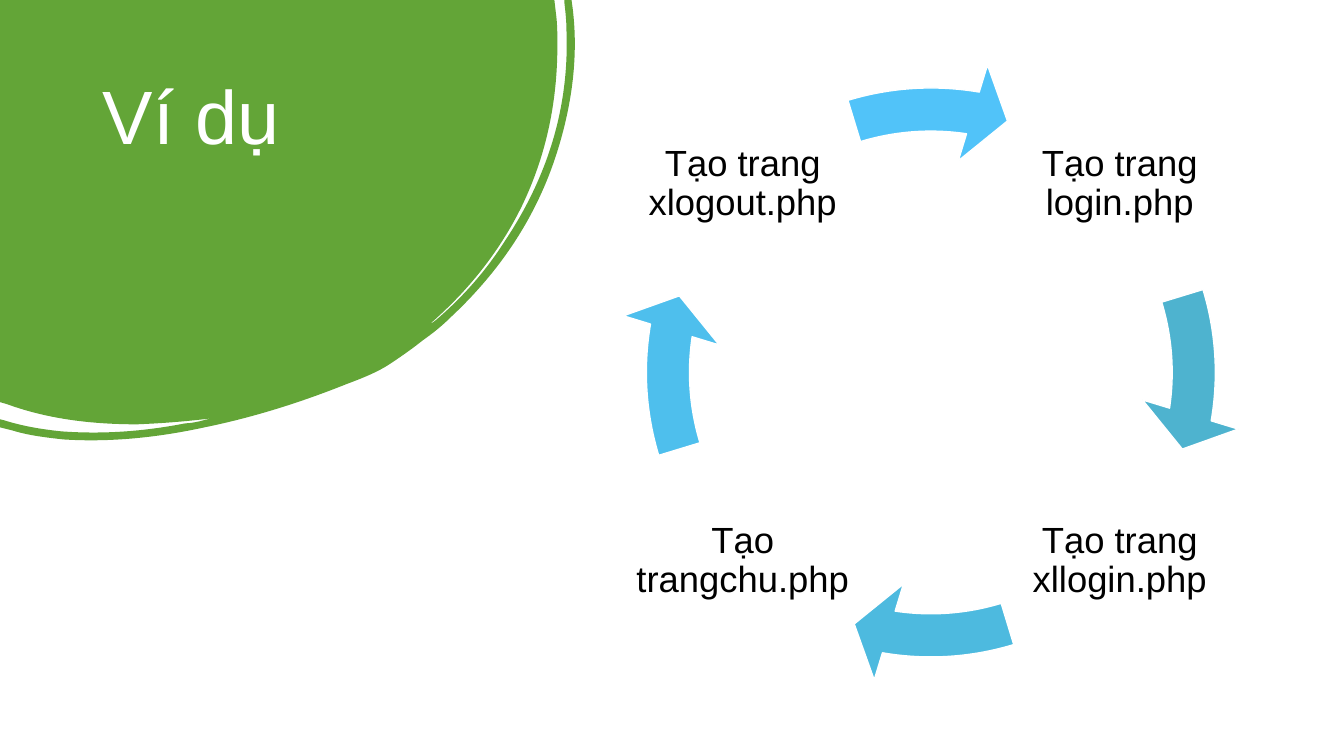
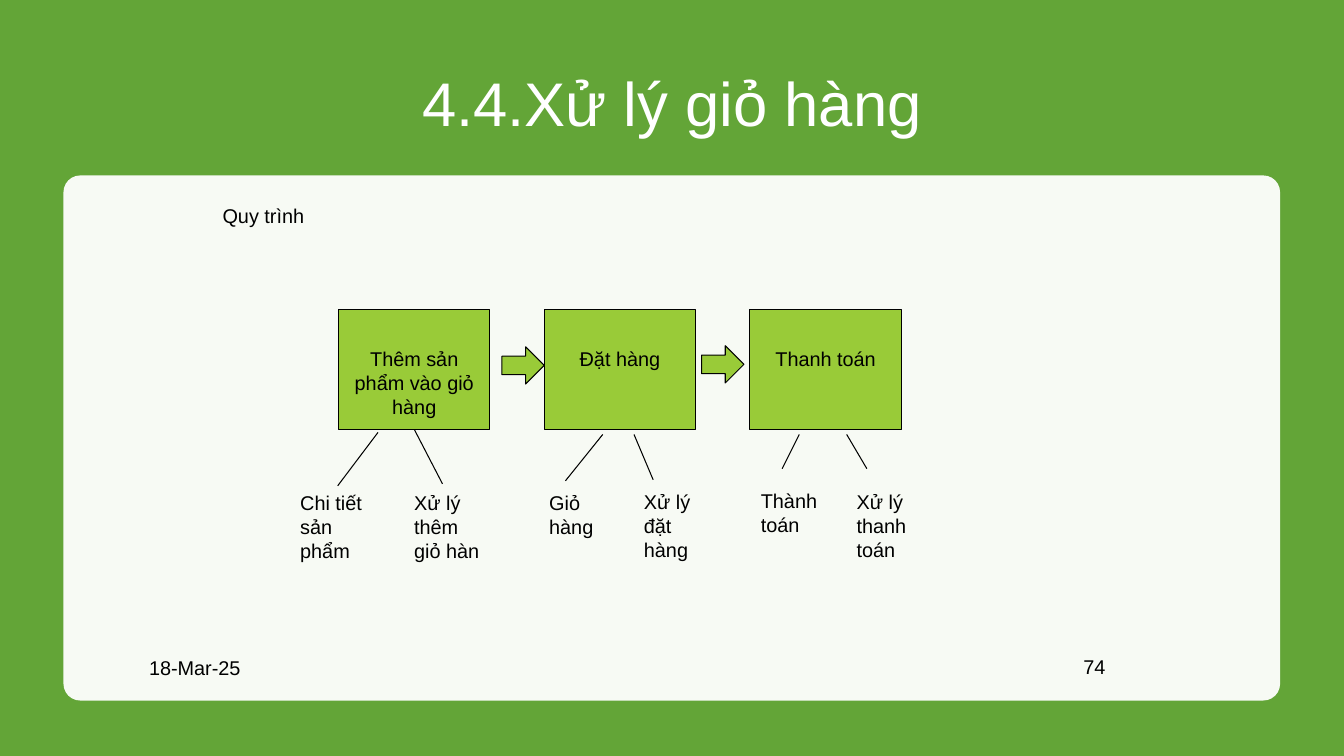
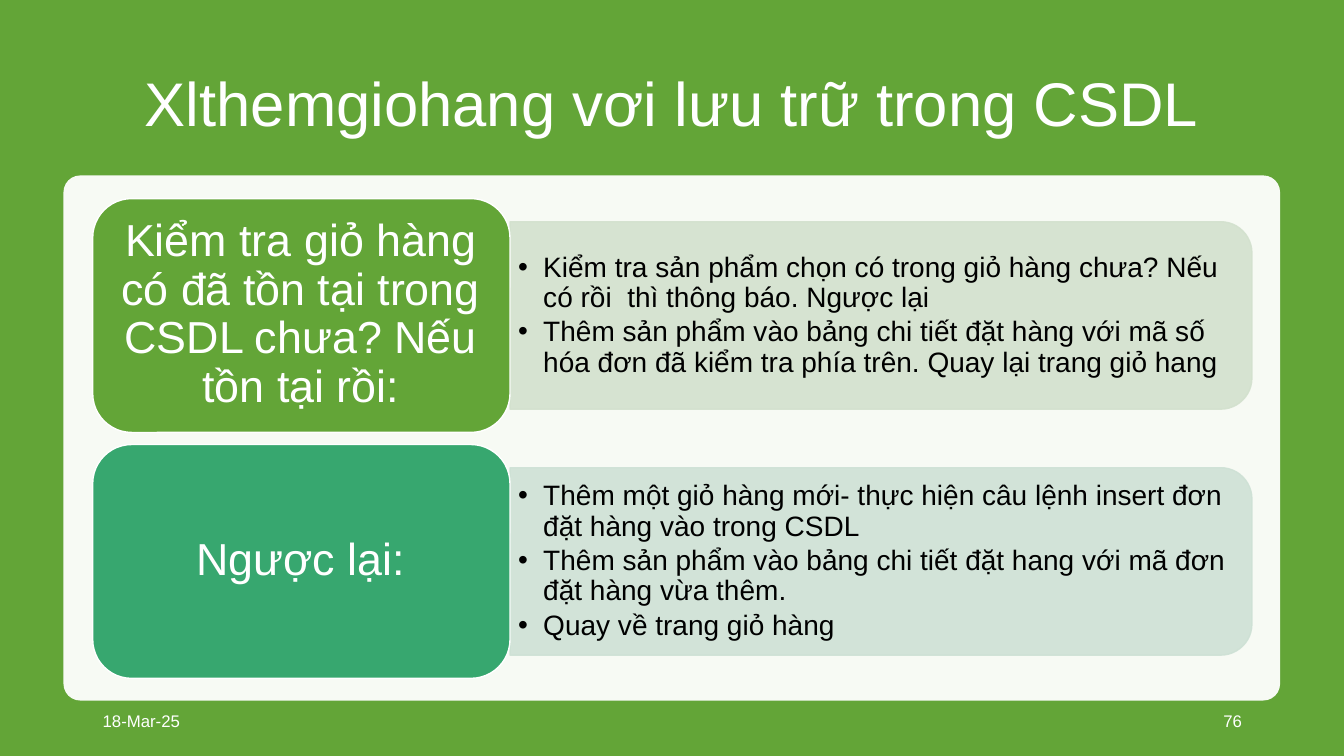
from lxml import etree
from pptx import Presentation
from pptx.dml.color import RGBColor
from pptx.enum.shapes import MSO_CONNECTOR, MSO_SHAPE
from pptx.enum.text import MSO_ANCHOR, MSO_AUTO_SIZE, PP_ALIGN
from pptx.oxml.ns import qn
from pptx.util import Inches, Pt

# Shared style
FONT = "Arial"
GREEN = RGBColor(0x63, 0xA5, 0x37)
LIME = RGBColor(0x99, 0xCB, 0x38)
TEAL = RGBColor(0x37, 0xA7, 0x6F)
SAGE = RGBColor(0xD3, 0xE1, 0xCE)
MINT = RGBColor(0xCE, 0xE1, 0xD5)
WHITE = RGBColor(0xFF, 0xFF, 0xFF)
BLACK = RGBColor(0x00, 0x00, 0x00)
BLUES = [RGBColor(0x4E, 0xB3, 0xCF), RGBColor(0x4D, 0xBA, 0xDF),
         RGBColor(0x4E, 0xBF, 0xED), RGBColor(0x51, 0xC3, 0xF9)]

LEFT, CENTER, RIGHT = PP_ALIGN.LEFT, PP_ALIGN.CENTER, PP_ALIGN.RIGHT
TOP, MIDDLE = MSO_ANCHOR.TOP, MSO_ANCHOR.MIDDLE
FIXED, GROW = MSO_AUTO_SIZE.NONE, MSO_AUTO_SIZE.SHAPE_TO_FIT_TEXT
RECT, ROUND = MSO_SHAPE.RECTANGLE, MSO_SHAPE.ROUNDED_RECTANGLE
TAB = MSO_SHAPE.ROUND_2_SAME_RECTANGLE
ARROW, CIRCLE = MSO_SHAPE.RIGHT_ARROW, MSO_SHAPE.CIRCULAR_ARROW
TITLE_ONLY = 5
WIDE, HIGH = 40 / 3, 7.5
SMALL = 14.2
DATE = "18-Mar-25"

# Corner blob: pairs are line ends, sixes are Bezier curves
BLOB = [
    (0, 0), (5.5, 0), (5.52, 0.17),
    (5.53, 0.26, 5.53, 0.36, 5.53, 0.45), (5.53, 1.01, 5.42, 1.54, 5.18, 2.04),
    (4.96, 2.49, 4.65, 2.88, 4.27, 3.21), (4.29, 3.21, 4.3, 3.19, 4.32, 3.18),
    (4.59, 2.95, 4.82, 2.69, 5.01, 2.39), (5.43, 1.76, 5.65, 1.07, 5.62, 0.3),
    (5.62, 0.21, 5.61, 0.12, 5.6, 0.03), (5.6, 0), (5.67, 0), (5.68, 0.07),
    (5.74, 0.54, 5.68, 1.02, 5.53, 1.5), (5.33, 2.14, 4.97, 2.68, 4.48, 3.14),
    (4.39, 3.23, 4.29, 3.31, 4.19, 3.38), (4.09, 3.46, 3.99, 3.53, 3.87, 3.61),
    (3.75, 3.69, 3.6, 3.75, 3.44, 3.81), (2.99, 3.99, 2.52, 4.14, 2.03, 4.24),
    (1.57, 4.34, 1.1, 4.39, 0.63, 4.36), (0.45, 4.34, 0.28, 4.32, 0.12, 4.27),
    (0, 4.24), (0, 4.16), (0.04, 4.17),
    (0.23, 4.23, 0.42, 4.26, 0.61, 4.28), (1.03, 4.31, 1.43, 4.28, 1.84, 4.2),
    (1.89, 4.2, 1.93, 4.19, 1.98, 4.18), (2.02, 4.17, 2.06, 4.16, 2.1, 4.15),
    (1.86, 4.18, 1.61, 4.2, 1.36, 4.21), (0.92, 4.21, 0.48, 4.16, 0.07, 4.01),
    (0, 3.99),
]

# Labels of the cycle with column and row
CYCLE = [("Tạo trang login.php", 1, 0), ("Tạo trang xllogin.php", 1, 1),
         ("Tạo trangchu.php", 0, 1), ("Tạo trang xlogout.php", 0, 0)]

# Each step: name, then leaves (with height) and lines as offsets from its box
STEPS = [
    ("Thêm sản phẩm vào giỏ hàng",
     [("Chi tiết sản phẩm", -0.48, 1.75, 0.82),
      ("Xử lý thêm giỏ hàn", 0.65, 1.75, 0.82)],
     [(0.39, 1.22, -0.01, 1.75), (0.75, 1.19, 1.03, 1.73)]),
    ("Đặt hàng",
     [("Giỏ hàng", -0.05, 1.75, 0.58), ("Xử lý đặt hàng", 0.89, 1.74, 0.82)],
     [(0.58, 1.24, 0.21, 1.7), (0.89, 1.24, 1.08, 1.69)]),
    ("Thanh toán",
     [("Thành toán", 0.01, 1.73, 0.58), ("Xử lý thanh toán", 0.96, 1.74, 0.82)],
     [(0.49, 1.24, 0.32, 1.58), (0.96, 1.24, 1.16, 1.58)]),
]
NEXT = [(1.62, 0.37), (1.56, 0.36)]

CASES = [
    ("Kiểm tra giỏ hàng có đã tồn tại trong CSDL chưa? Nếu tồn tại rồi:",
     GREEN, SAGE,
     ["Kiểm tra sản phẩm chọn có trong giỏ hàng chưa? Nếu có rồi  thì thông báo. Ngược lại",
      "Thêm sản phẩm vào bảng chi tiết đặt hàng với mã số hóa đơn đã kiểm tra phía trên. "
      "Quay lại trang giỏ hang"]),
    ("Ngược lại:", TEAL, MINT,
     ["Thêm một giỏ hàng mới- thực hiện câu lệnh insert đơn đặt hàng vào trong CSDL",
      "Thêm sản phẩm vào bảng chi tiết đặt hang với mã đơn đặt hàng vừa thêm.",
      "Quay về trang giỏ hàng"]),
]


def mark(par):
    """Give a paragraph a hanging bullet."""
    par.level = 1
    props = par._p.get_or_add_pPr()
    props.set("marL", str(Inches(0.25)))
    props.set("indent", str(-Inches(0.25)))
    etree.SubElement(props, qn("a:buFont")).set("typeface", FONT)
    etree.SubElement(props, qn("a:buChar")).set("char", "•")
    par.space_after = Pt(3)


def write(shape, lines, size, color=BLACK, align=LEFT, anchor=TOP,
          pads=(0.1, 0.05), gap=None, bullet=False, fit=FIXED):
    """Fill a shape with paragraphs in one style."""
    frame = shape.text_frame
    frame.text = "\n".join(lines)
    frame.word_wrap = True
    frame.auto_size = fit
    frame.vertical_anchor = anchor
    frame.margin_left = frame.margin_right = Inches(pads[0])
    frame.margin_top = frame.margin_bottom = Inches(pads[1])
    for par in frame.paragraphs:
        if bullet:
            mark(par)
        par.alignment = align
        par.line_spacing = gap
        for run in par.runs:
            run.font.name = FONT
            run.font.size = Pt(size)
            run.font.color.rgb = color


def label(slide, box, lines, size, **style):
    write(slide.shapes.add_textbox(*map(Inches, box)), lines, size, **style)


def paint(shape, fill, line=None, width=1):
    shape.shadow.inherit = False
    shape.fill.solid()
    shape.fill.fore_color.rgb = fill
    if line is None:
        shape.line.fill.background()
    else:
        shape.line.color.rgb = line
        shape.line.width = Pt(width)


def draw(slide, kind, box, fill, line=None, width=1):
    shape = slide.shapes.add_shape(kind, *map(Inches, box))
    paint(shape, fill, line, width)
    return shape


def fade(shape, share):
    """Make the fill and line of a shape partly see-through."""
    for color in shape.element.iter(qn("a:srgbClr")):
        etree.SubElement(color, qn("a:alpha")).set("val", str(share * 1000))


def join(slide, x1, y1, x2, y2):
    line = slide.shapes.add_connector(
        MSO_CONNECTOR.STRAIGHT, *map(Inches, (x1, y1, x2, y2)))
    line.line.color.rgb = BLACK
    line.line.width = Pt(0.75)
    etree.SubElement(line.element.spPr, qn("a:effectLst"))


def head(slide, text, box, size, **style):
    """Place the title above the shapes drawn so far."""
    title = slide.shapes.title
    title.left, title.top, title.width, title.height = map(Inches, box)
    write(title, [text], size, color=WHITE, gap=0.9, **style)
    title.element.getparent().append(title.element)


def blob(slide):
    """Draw the corner outline, then bend its curved segments."""
    ends = [(Inches(seg[-2]), Inches(seg[-1])) for seg in BLOB]
    pen = slide.shapes.build_freeform(*ends[0])
    pen.add_line_segments(ends[1:], close=True)
    shape = pen.convert_to_shape()
    paint(shape, GREEN)
    sides = list(shape.element.iter(qn("a:lnTo")))
    for side, seg in zip(sides, BLOB[1:]):
        if len(seg) == 6:
            curve = etree.Element(qn("a:cubicBezTo"))
            for x, y in zip(seg[::2], seg[1::2]):
                dot = etree.SubElement(curve, qn("a:pt"))
                dot.set("x", str(Inches(x)))
                dot.set("y", str(Inches(y)))
            side.getparent().replace(side, curve)
    # Curves bulge past their ends, so the frame is a little larger
    shape.width, shape.height = Inches(5.71), Inches(4.37)
    for area in shape.element.iter(qn("a:path")):
        area.set("w", str(shape.width))
        area.set("h", str(shape.height))


def cycle(slide, x, y, size):
    """Four labels in a square, joined by quarter-turn arrows."""
    for i, (text, col, row) in enumerate(CYCLE):
        box = (x + 0.14 + 3.74 * col, y + 0.14 + 3.74 * row, 2.2, 2.2)
        label(slide, box, [text], 26, align=CENTER, anchor=MIDDLE,
              pads=(0.04, 0.04), gap=0.9)
        arc = draw(slide, CIRCLE, (x, y, size, size), BLUES[i], WHITE)
        turn = 54 * i
        values = (0.069, 4.648, (5.518 + turn) % 216, (205.834 + turn) % 216, 0.08)
        for n, value in enumerate(values):
            arc.adjustments[n] = value


def panel(slide, text):
    """Green slide with a centred title and a pale rounded panel."""
    draw(slide, RECT, (0, 0, WIDE, HIGH), GREEN)
    head(slide, text, (0.92, 0.51, 11.5, 1.1), 44, align=CENTER, anchor=MIDDLE)
    card = draw(slide, ROUND, (0.63, 1.74, 12.07, 5.21), WHITE)
    card.adjustments[0] = 0.032
    fade(card, 95)


def flow(slide, x, y):
    """Row of steps with arrows between them and leaves below."""
    for i, (text, leaves, lines) in enumerate(STEPS):
        left = x + 2.04 * i
        step = draw(slide, RECT, (left, y, 1.5, 1.19), LIME, BLACK, 0.75)
        write(step, [text], SMALL, align=CENTER)
        step.text_frame.margin_top = Inches(0.37)
        for leaf, dx, dy, high in leaves:
            label(slide, (left + dx, y + dy, 0.95, high), [leaf], SMALL, fit=GROW)
        for x1, y1, x2, y2 in lines:
            join(slide, left + x1, y + y1, left + x2, y + y2)
    for i, (dx, dy) in enumerate(NEXT):
        draw(slide, ARROW, (x + 2.04 * i + dx, y + dy, 0.42, 0.37),
             LIME, BLACK, 0.75)


def case(slide, x, y, text, fill, pale, points):
    """Condition block with its list of actions on the right."""
    wide, high, edge = 7.36, 1.86, x + 4.14
    # The tab is turned, so its box is upright around the same centre
    tab = draw(slide, TAB, (edge + (wide - high) / 2, y + 0.23 + (high - wide) / 2,
                            high, wide), pale, pale)
    tab.rotation = 90
    fade(tab, 90)
    label(slide, (edge, y + 0.32, 7.27, 1.68), points, 20, anchor=MIDDLE,
          pads=(0.08, 0.04), gap=0.9, bullet=True)
    draw(slide, ROUND, (x, y, 4.14, 2.32), fill, WHITE)
    label(slide, (x + 0.11, y + 0.11, 3.91, 2.09), [text], 32, color=WHITE,
          align=CENTER, anchor=MIDDLE, pads=(0.13, 0.07), gap=0.9)


def main():
    deck = Presentation()
    deck.slide_width, deck.slide_height = Inches(WIDE), Inches(HIGH)
    layout = deck.slide_layouts[TITLE_ONLY]

    # Example cycle
    slide = deck.slides.add_slide(layout)
    blob(slide)
    head(slide, "Ví dụ", (0.92, 0.74, 3.52, 2.22), 54)
    cycle(slide, 6.13, 0.59, 6.21)

    # Cart process
    slide = deck.slides.add_slide(layout)
    panel(slide, "4.4.Xử lý giỏ hàng")
    label(slide, (2.11, 1.97, 9.69, 4.33), ["Quy trình"], SMALL)
    label(slide, (10.65, 6.44, 1.3, 0.25), ["74"], SMALL)
    label(slide, (1.38, 6.45, 1.91, 0.28), [DATE], SMALL)
    flow(slide, 3.36, 3.07)

    # Database cases
    slide = deck.slides.add_slide(layout)
    panel(slide, "Xlthemgiohang vơi lưu trữ trong CSDL")
    for x, text, align in ((0.92, DATE, LEFT), (9.42, "76", RIGHT)):
        label(slide, (x, 6.95, 3, 0.4), [text], 12, color=WHITE,
              align=align, anchor=MIDDLE)
    for i, parts in enumerate(CASES):
        case(slide, 0.92, 1.97 + 2.44 * i, *parts)

    deck.save("out.pptx")


if __name__ == "__main__":
    main()
